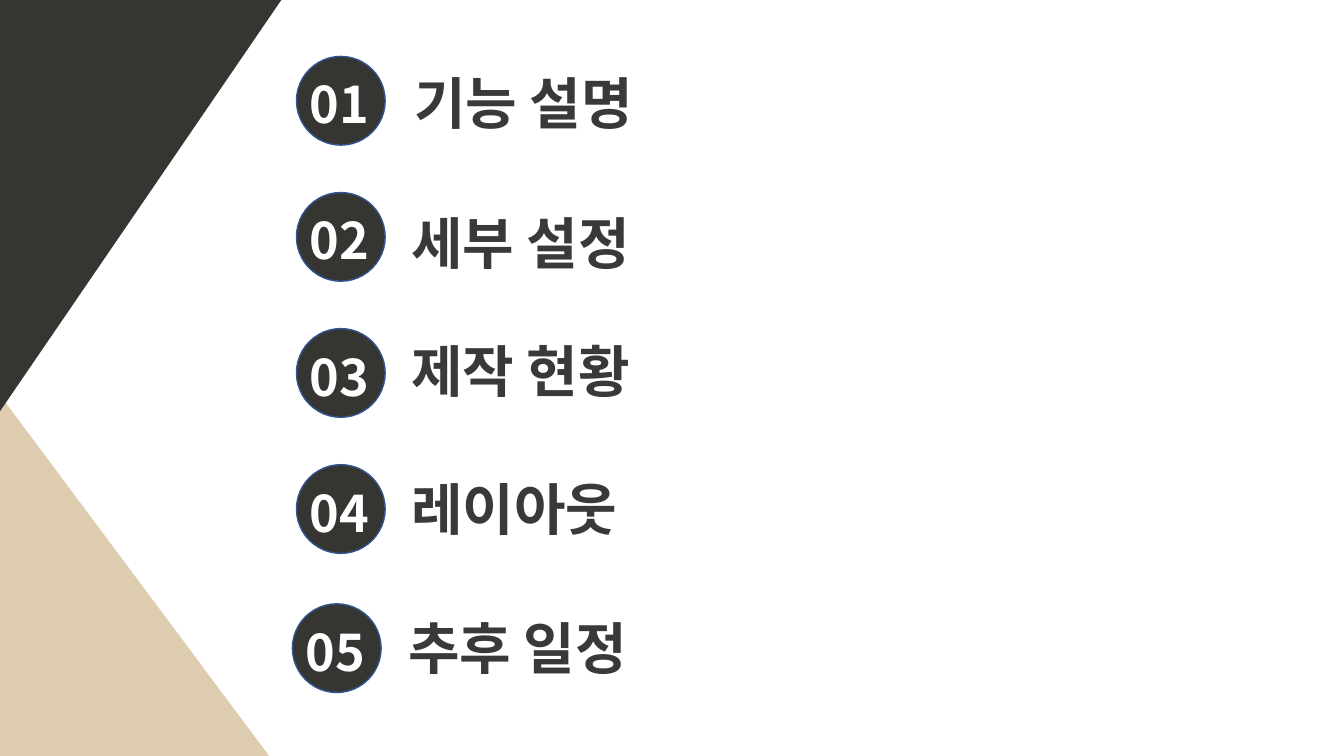
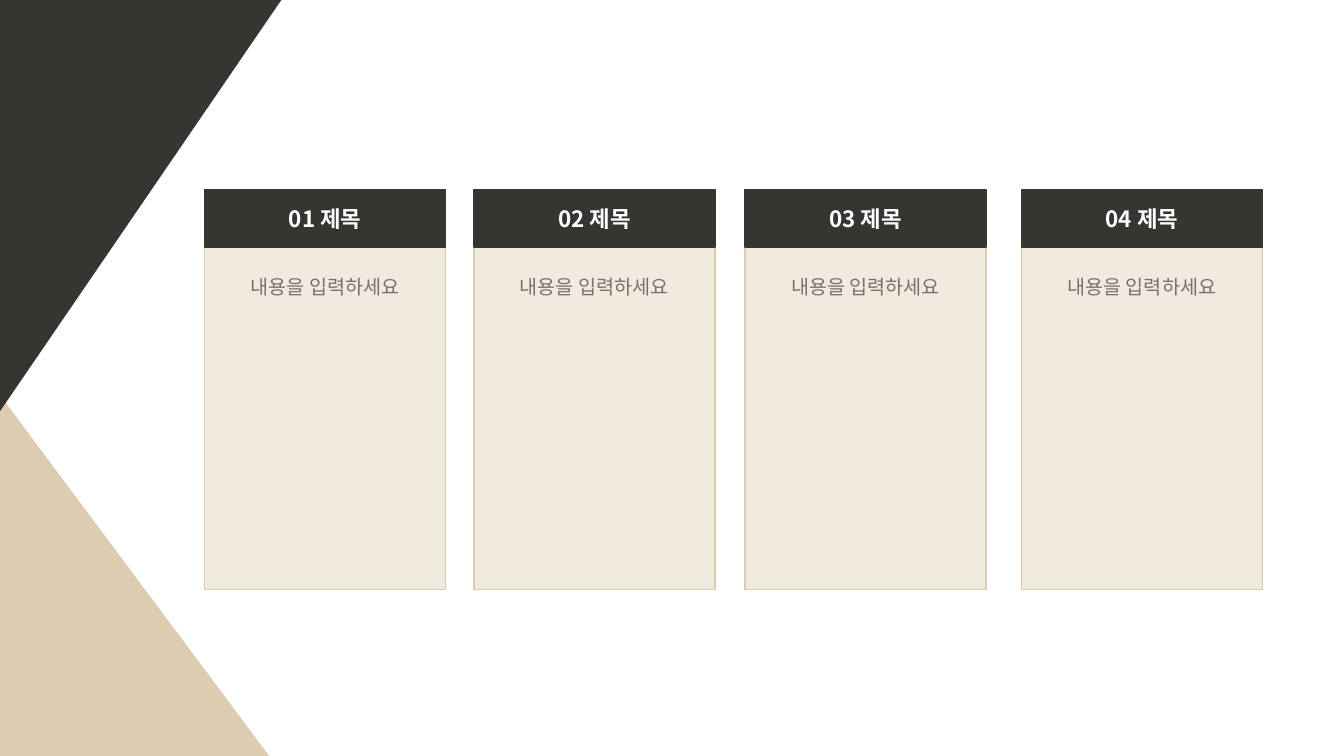
from lxml import etree
from pptx import Presentation
from pptx import util as u
from pptx.dml.color import RGBColor
from pptx.enum import shapes, text
from pptx.oxml.ns import qn

SCALE = 9144  # EMU in one px, at 100 px to the inch
WIDE, HIGH = 1333, 750
FONT = "Noto Sans CJK KR"
COLORS = {
    "dark": "353632", "sand": "DDCCAF", "rim": "325491",
    "white": "FFFFFF", "label": "3B3838", "gray": "767171",
}
KIND = shapes.MSO_SHAPE
LEFT, MID = text.PP_ALIGN.LEFT, text.PP_ALIGN.CENTER
TOP, CENTER = text.MSO_ANCHOR.TOP, text.MSO_ANCHOR.MIDDLE


def emu(*px):
    return [u.Emu(n * SCALE) for n in px]


def tint(name):
    return RGBColor.from_string(COLORS[name])


class Deck:
    """Holds the style and the current slide."""

    def __init__(self):
        self.file = Presentation()
        self.file.slide_width, self.file.slide_height = emu(WIDE, HIGH)
        self.base = self.file.slide_layouts.get_by_name("Blank")
        self.slide = None

    def page(self):
        self.slide = self.file.slides.add_slide(self.base)

    def shape(self, kind, box, fill, line=None, alpha=None, home=None):
        home = home or self.slide.shapes
        item = home.add_shape(kind, *emu(*box))
        item.shadow.inherit = False
        item.fill.solid()
        item.fill.fore_color.rgb = tint(fill)
        if alpha:
            color = item.element.spPr.find(".//" + qn("a:srgbClr"))
            etree.SubElement(color, qn("a:alpha"), val=str(alpha * 1000))
        if line:
            item.line.color.rgb = tint(line)
            item.line.width = u.Pt(1)
        else:
            item.line.fill.background()
        return item

    def words(self, item, words, size, color, bold=False, align=LEFT,
              anchor=TOP, inset=5):
        frame = item.text_frame
        frame.word_wrap = True
        frame.vertical_anchor = anchor
        frame.margin_top, = emu(inset)
        para = frame.paragraphs[0]
        para.alignment = align
        run = para.add_run()
        run.text = words
        font = run.font
        font.size, font.bold, font.name = u.Pt(size), bold, FONT
        font.color.rgb = tint(color)
        props = item.element.find(".//" + qn("a:rPr"))
        etree.SubElement(props, qn("a:ea"), typeface=FONT)

    def label(self, box, words, size, color, home=None):
        item = (home or self.slide.shapes).add_textbox(*emu(*box))
        self.words(item, words, size, color, bold=True)
        item.text_frame.auto_size = text.MSO_AUTO_SIZE.SHAPE_TO_FIT_TEXT

    def corners(self):
        """Move the two corner triangles into the shared layout."""
        low = self.shape(KIND.ISOSCELES_TRIANGLE, (0, 392, 267, 358), "sand")
        high = self.shape(KIND.ISOSCELES_TRIANGLE, (0, 0, 279, 408), "dark")
        high.element.spPr.find(qn("a:xfrm")).set("flipV", "1")
        for item in (low, high):
            item.adjustments[0] = 0
            self.base.shapes.element.append(item.element)

    def badge(self, x, y, words):
        home = self.slide.shapes.add_group_shape().shapes
        self.shape(KIND.OVAL, (x, y, 88, 88), "dark", "rim", home=home)
        self.label((x + 3, y + 12, 101, 71), words, 36, "white", home)

    def card(self, x, head, body):
        panel = self.shape(KIND.RECTANGLE, (x, 245, 239, 340), "sand", "sand", 40)
        self.words(panel, body, 14, "gray", align=MID, inset=28)
        band = self.shape(KIND.RECTANGLE, (x, 188, 239, 57), "dark", "dark")
        self.words(band, head, 16, "white", True, MID, CENTER)


def main():
    deck = Deck()
    deck.page()
    deck.corners()
    topics = [
        ("기능 설명", 294, 56, 401, 63),
        ("세부 설정", 294, 191, 398, 202),
        ("제작 현황", 294, 326, 398, 329),
        ("레이아웃", 294, 461, 398, 466),
        ("추후 일정", 290, 599, 395, 604),
    ]
    for num, (topic, x, y, left, top) in enumerate(topics, 1):
        deck.badge(x, y, f"{num:02}")
        deck.label((left, top, 333, 77), topic, 40, "label")

    deck.page()
    for num, x in enumerate((203, 470, 739, 1013), 1):
        deck.card(x, f"{num:02} 제목", "내용을 입력하세요")
    deck.file.save("out.pptx")


if __name__ == "__main__":
    main()
